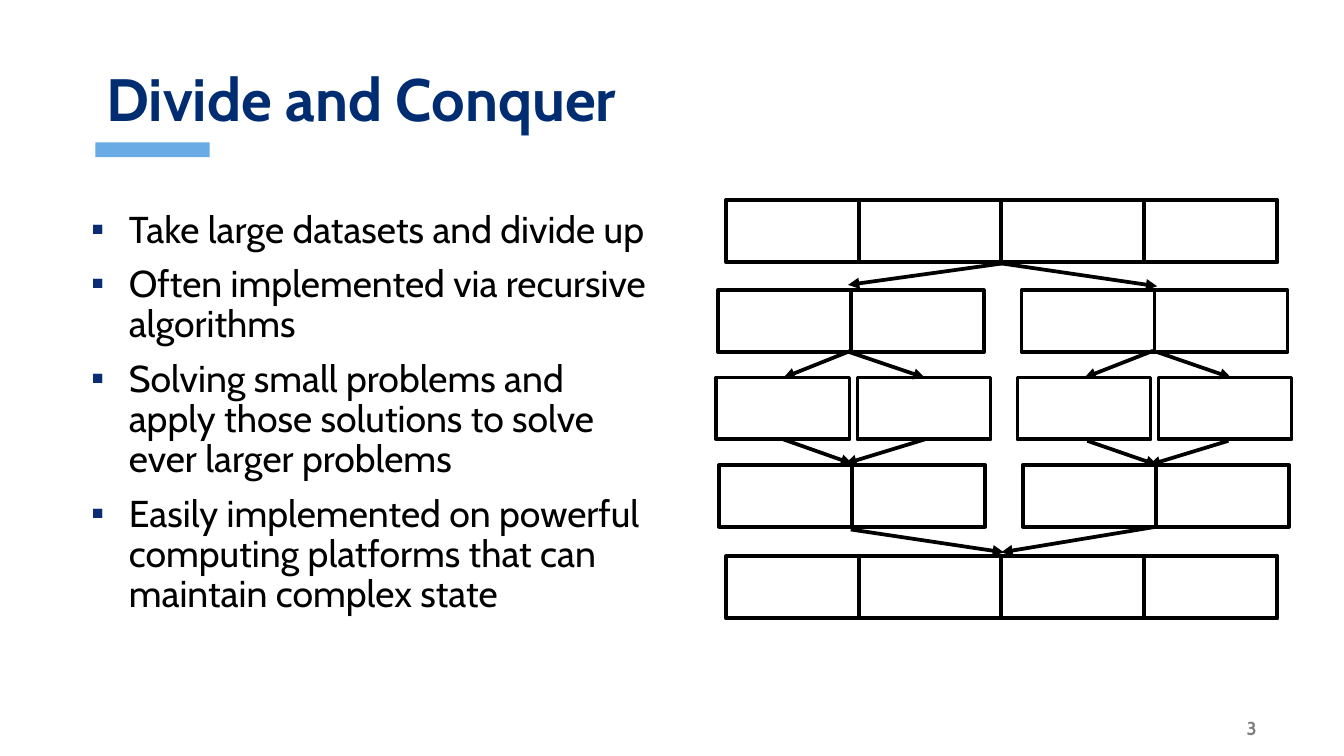
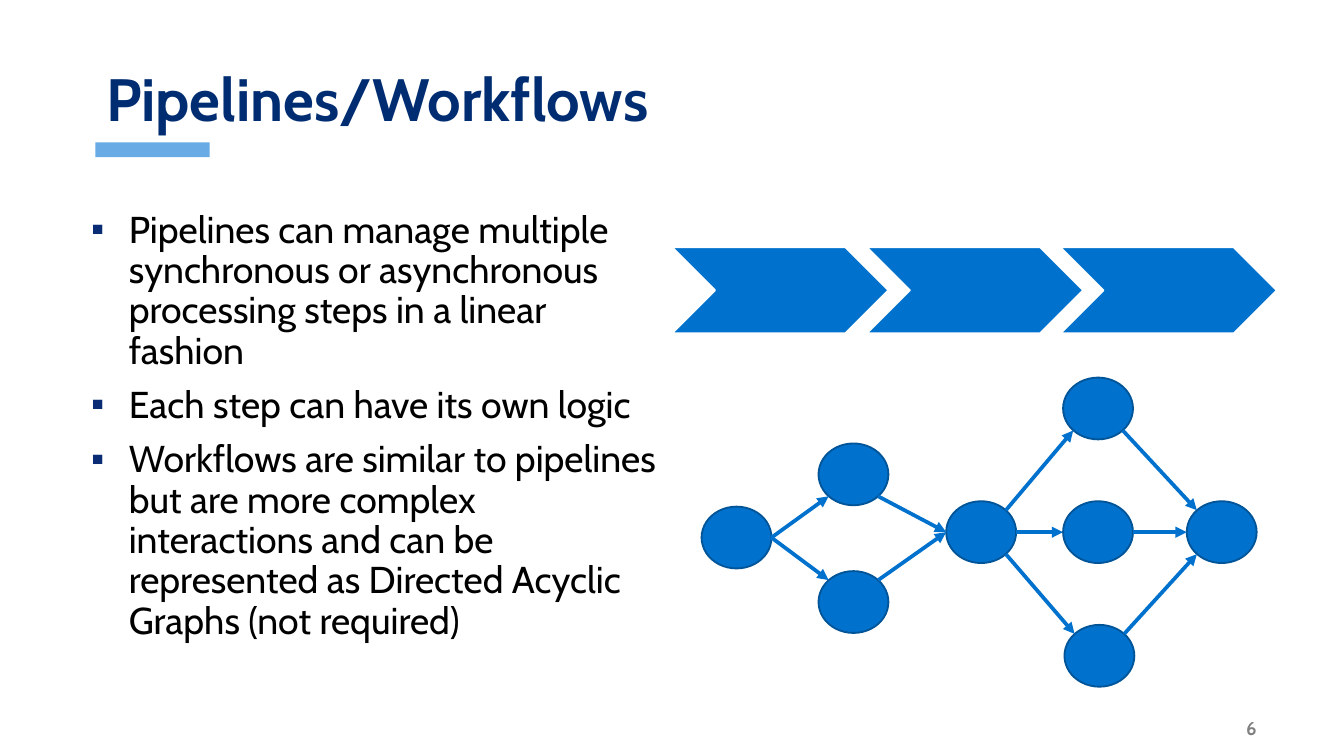
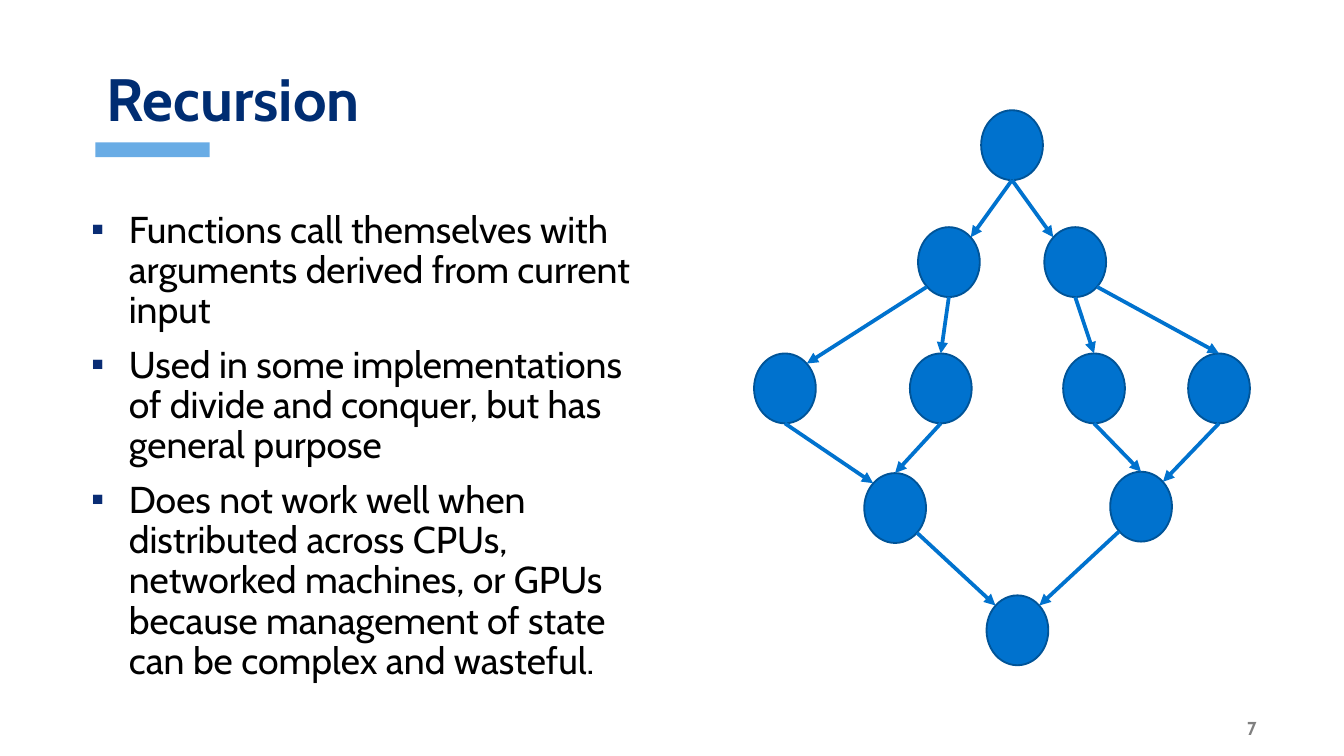
from lxml import etree
from pptx import Presentation
from pptx.dml.color import RGBColor
from pptx.enum import shapes, text
from pptx.oxml import ns
from pptx.util import Inches, Pt

NAVY = RGBColor(0x00, 0x2D, 0x72)
BULLET_NAVY = "092C74"
SKY = RGBColor(0x69, 0xAC, 0xE5)
BLUE = RGBColor(0x00, 0x72, 0xCE)
DARK_BLUE = RGBColor(0x00, 0x54, 0x98)
GRAY = RGBColor(0x80, 0x80, 0x80)
BLACK = RGBColor(0x00, 0x00, 0x00)
WHITE = RGBColor(0xFF, 0xFF, 0xFF)
FONT = "Cabin"
PRESET = shapes.MSO_SHAPE
SLIDE_WIDTH = Inches(10)
SLIDE_HEIGHT = SLIDE_WIDTH * 9 // 16
NODE_WIDTH, NODE_HEIGHT = 0.52, 0.46
CELL_WIDTH, CELL_HEIGHT = 0.99, 0.46
DIAGONAL = 0.71
COMPASS = {
    "n": (0, -1), "s": (0, 1), "e": (1, 0), "w": (-1, 0),
    "ne": (DIAGONAL, -DIAGONAL), "nw": (-DIAGONAL, -DIAGONAL),
    "se": (DIAGONAL, DIAGONAL), "sw": (-DIAGONAL, DIAGONAL),
}


def style_paragraph(paragraph, size, color, bold=False):
    """Set the deck's font on a whole paragraph."""
    font = paragraph.font
    font.name, font.size, font.bold = FONT, Pt(size), bold
    font.color.rgb = color


def add_block(slide, preset, left, top, width, height, fill, line=None, weight=1):
    """Add a flat filled shape, outlined when a line colour is given."""
    block = slide.shapes.add_shape(
        preset, Inches(left), Inches(top), Inches(width), Inches(height))
    block.shadow.inherit = False
    block.fill.solid()
    block.fill.fore_color.rgb = fill
    if line is None:
        block.line.fill.background()
    else:
        block.line.color.rgb = line
        block.line.width = Pt(weight)
    return block


def add_arrow(slide, start, end, color):
    """Add a straight arrow between two points."""
    arrow = slide.shapes.add_connector(
        shapes.MSO_CONNECTOR.STRAIGHT, *(Inches(v) for v in (*start, *end)))
    arrow.line.color.rgb = color
    arrow.line.width = Pt(2)
    properties = arrow.element.spPr
    outline = properties.find(ns.qn("a:ln"))
    etree.SubElement(outline, ns.qn("a:tailEnd"), type="triangle")
    etree.SubElement(properties, ns.qn("a:effectLst"))


def add_text_area(slide, left, top, width, height):
    """Add a wrapping text box and return its frame."""
    frame = slide.shapes.add_textbox(
        Inches(left), Inches(top), Inches(width), Inches(height)).text_frame
    frame.word_wrap = True
    return frame


def add_bullets(slide, points):
    """Add the left column of square-bulleted points."""
    frame = add_text_area(slide, 0.58, 1.52, 4.42, 3.37)
    for index, point in enumerate(points):
        paragraph = frame.paragraphs[0] if index == 0 else frame.add_paragraph()
        paragraph.text = point
        properties = paragraph._p.get_or_add_pPr()
        properties.set("marL", str(Inches(0.28)))
        properties.set("indent", str(-Inches(0.28)))
        bullet_color = etree.SubElement(properties, ns.qn("a:buClr"))
        etree.SubElement(bullet_color, ns.qn("a:srgbClr"), val=BULLET_NAVY)
        etree.SubElement(properties, ns.qn("a:buFont"), typeface="Arial")
        etree.SubElement(properties, ns.qn("a:buChar"), char="▪")
        paragraph.line_spacing = 0.9
        if index:
            paragraph.space_before = Pt(7.5)
        style_paragraph(paragraph, 20, BLACK)


def add_page(deck, heading, number, points, title_width=8.62, title_height=0.6):
    """Add a slide with title, accent band, page number and bullets."""
    slide = deck.slides.add_slide(deck.slide_layouts[5])
    add_block(slide, PRESET.RECTANGLE, 0.71, 1.06, 0.85, 0.11, SKY)

    footer = add_text_area(slide, 8.63, 5.32, 0.87, 0.19)
    footer.margin_top = footer.margin_bottom = 0
    footer.margin_right = Inches(0.15)
    footer.vertical_anchor = text.MSO_ANCHOR.MIDDLE
    page_number = footer.paragraphs[0]
    page_number.text = str(number)
    page_number.alignment = text.PP_ALIGN.RIGHT
    style_paragraph(page_number, 10, GRAY, bold=True)

    title = slide.shapes.title
    title.left, title.top = Inches(0.69), Inches(0.47)
    title.width, title.height = Inches(title_width), Inches(title_height)
    frame = title.text_frame
    frame.text = heading
    frame.auto_size = text.MSO_AUTO_SIZE.NONE
    frame.vertical_anchor = text.MSO_ANCHOR.TOP
    title_line = frame.paragraphs[0]
    title_line.alignment = text.PP_ALIGN.LEFT
    title_line.line_spacing = 0.9
    style_paragraph(title_line, 32, NAVY, bold=True)

    add_bullets(slide, points)
    return slide


def add_cell(slide, left, top, width=CELL_WIDTH):
    """Add one white cell of a data array."""
    add_block(slide, PRESET.FLOWCHART_PROCESS, left, top, width, CELL_HEIGHT,
              WHITE, BLACK, 2)


def add_full_array(slide, top):
    """Add the undivided four-cell array."""
    for left, width in ((5.41, 4.09), (5.41, 2.05), (7.45, 2.05),
                        (5.4, CELL_WIDTH), (8.51, CELL_WIDTH)):
        add_cell(slide, left, top, width)


def add_graph(slide, nodes, edges, upright=False):
    """Draw nodes by centre and arrows between their compass points."""
    for x, y in nodes.values():
        node = add_block(slide, PRESET.OVAL, x - NODE_WIDTH / 2, y - NODE_HEIGHT / 2,
                         NODE_WIDTH, NODE_HEIGHT, BLUE, DARK_BLUE)
        if upright:
            node.rotation = 90
    width, height = (NODE_HEIGHT, NODE_WIDTH) if upright else (NODE_WIDTH, NODE_HEIGHT)

    def site(name, direction):
        """Return the point on a node's rim in a compass direction."""
        x, y = nodes[name]
        dx, dy = COMPASS[direction]
        return x + dx * width / 2, y + dy * height / 2

    for source, leaving, target, entering in edges:
        add_arrow(slide, site(source, leaving), site(target, entering), BLUE)


def build_divide_and_conquer(deck):
    """Build the slide on splitting and merging arrays."""
    slide = add_page(deck, "Divide and Conquer", 3, [
        "Take large datasets and divide up",
        "Often implemented via recursive algorithms",
        "Solving small problems and apply those solutions to solve ever larger problems",
        "Easily implemented on powerful computing platforms that can maintain complex state",
    ])
    add_full_array(slide, 1.49)
    for top, pair_lefts, step in ((2.16, (5.34, 7.6), 0.99),
                                  (2.81, (5.33, 7.57), 1.05),
                                  (3.46, (5.35, 7.61), 0.99)):
        for left in pair_lefts:
            add_cell(slide, left, top)
            add_cell(slide, left + step, top)
    add_full_array(slide, 4.14)

    splits = [
        ((7.46, 1.96), (6.31, 2.12)), ((7.45, 1.96), (8.61, 2.13)),
        ((6.33, 2.61), (5.83, 2.81)), ((6.32, 2.62), (6.88, 2.81)),
        ((8.61, 2.62), (9.16, 2.81)), ((8.58, 2.61), (8.07, 2.81)),
    ]
    merges = [
        ((5.83, 3.27), (6.34, 3.45)), ((6.88, 3.27), (6.29, 3.45)),
        ((8.09, 3.28), (8.61, 3.46)), ((9.14, 3.28), (8.55, 3.46)),
        ((6.33, 3.94), (7.47, 4.11)), ((8.6, 3.92), (7.45, 4.11)),
    ]
    for start, end in splits + merges:
        add_arrow(slide, start, end, BLACK)


def build_pipelines(deck):
    """Build the slide on linear pipelines and workflow graphs."""
    slide = add_page(deck, "Pipelines/Workflows", 6, [
        "Pipelines can manage multiple synchronous or asynchronous processing steps "
        "in a linear fashion",
        "Each step can have its own logic",
        "Workflows are similar to pipelines but are more complex interactions and can "
        "be represented as Directed Acyclic Graphs (not required)",
    ])
    for step_left in (5, 6.45, 7.89):
        add_block(slide, PRESET.CHEVRON, step_left, 1.84, 1.61, 0.64, BLUE, WHITE)

    nodes = {
        "start": (5.48, 4), "upper": (6.35, 3.53), "lower": (6.35, 4.48),
        "hub": (7.3, 3.96), "top": (8.17, 3.04), "middle": (8.17, 3.96),
        "bottom": (8.18, 4.88), "end": (9.09, 3.96),
    }
    add_graph(slide, nodes, [
        ("start", "e", "upper", "sw"),
        ("start", "e", "lower", "nw"),
        ("upper", "se", "hub", "w"),
        ("lower", "ne", "hub", "w"),
        ("hub", "ne", "top", "sw"),
        ("hub", "e", "middle", "w"),
        ("hub", "se", "bottom", "nw"),
        ("bottom", "ne", "end", "sw"),
        ("middle", "e", "end", "w"),
        ("top", "se", "end", "nw"),
    ])


def build_recursion(deck):
    """Build the slide on recursive calls and their returns."""
    slide = add_page(deck, "Recursion", 7, [
        "Functions call themselves with arguments derived from current input",
        "Used in some implementations of divide and conquer, but has general purpose",
        "Does not work well when distributed across CPUs, networked machines, or GPUs "
        "because management of state can be complex and wasteful.",
    ], title_width=4.31, title_height=0.92)
    nodes = {
        "root": (7.53, 1.08), "right": (8, 1.95), "left": (7.06, 1.95),
        "right merge": (8.49, 3.77), "left merge": (6.66, 3.78), "result": (7.57, 4.69),
        "leaf 2": (7, 2.89), "leaf 3": (8.14, 2.89),
        "leaf 1": (5.84, 2.89), "leaf 4": (9.07, 2.89),
    }
    add_graph(slide, nodes, [
        ("root", "s", "right", "nw"),
        ("root", "s", "left", "ne"),
        ("right", "s", "leaf 3", "n"),
        ("left", "sw", "leaf 1", "ne"),
        ("leaf 1", "s", "left merge", "nw"),
        ("left merge", "se", "result", "nw"),
        ("right merge", "sw", "result", "ne"),
        ("left", "s", "leaf 2", "n"),
        ("leaf 2", "s", "left merge", "n"),
        ("right", "se", "leaf 4", "n"),
        ("leaf 3", "s", "right merge", "n"),
        ("leaf 4", "s", "right merge", "ne"),
    ], upright=True)


def main():
    """Build and save the deck."""
    deck = Presentation()
    deck.slide_width, deck.slide_height = SLIDE_WIDTH, SLIDE_HEIGHT
    build_divide_and_conquer(deck)
    build_pipelines(deck)
    build_recursion(deck)
    deck.save("out.pptx")


if __name__ == "__main__":
    main()
